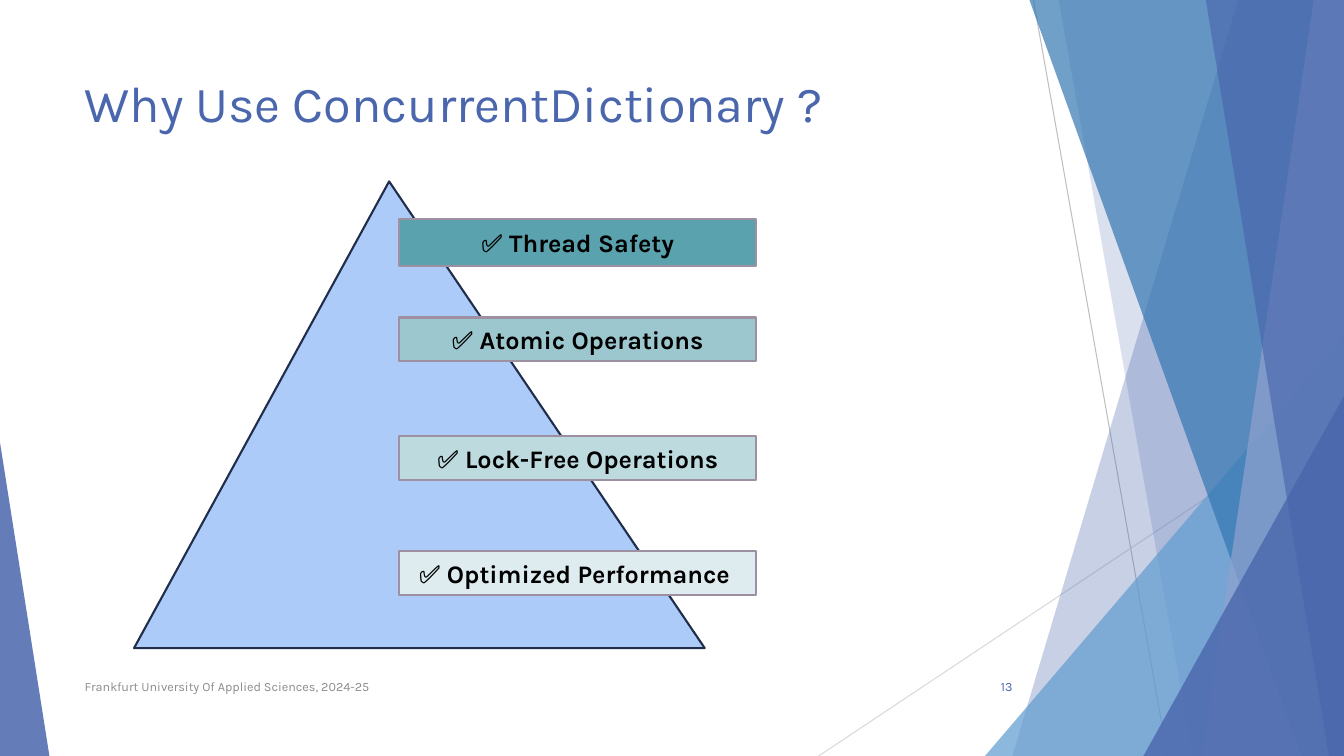
import pptx
import pptx.util
import pptx.dml.color
import pptx.enum.shapes
import pptx.enum.text
import pptx.oxml.ns
from dataclasses import dataclass
from lxml import etree

PX = 9144  # EMU per px, 100 px to the inch
MSO = pptx.enum.shapes.MSO_SHAPE
ALIGN = pptx.enum.text.PP_ALIGN
ANCHOR = pptx.enum.text.MSO_ANCHOR
qn = pptx.oxml.ns.qn


@dataclass(frozen=True)
class Theme:
    font: str = "Karla"
    title_size: int = 36
    bar_size: int = 18
    footer_size: int = 9
    accent: str = "4A66AC"
    sky: str = "629DD1"
    blue: str = "3477B2"
    mist: str = "90A2CF"
    text: str = "000000"
    muted: str = "8C8C8C"
    hairlines: tuple = ("BFBFBF", "D9D9D9")
    pyramid: str = "ACCBF9"
    pyramid_line: str = "202D4B"
    bars: tuple = ("5AA2AE", "9CC7CE", "BDDADF", "DEECEF")
    bar_line: str = "9D90A0"


THEME = Theme()


def rgb(color):
    return pptx.dml.color.RGBColor.from_string(color)


def emu(*lengths):
    return [round(length * PX) for length in lengths]


def paint(sp, fill, line=None, alpha=None):
    sp.shadow.inherit = False
    sp.fill.solid()
    sp.fill.fore_color.rgb = rgb(fill)
    if alpha is not None:
        clr = sp._element.spPr.find(qn("a:solidFill")).find(qn("a:srgbClr"))
        etree.SubElement(clr, qn("a:alpha")).set("val", str(alpha * 1000))
    if line:
        sp.line.color.rgb = rgb(line)
        sp.line.width = pptx.util.Pt(1.5)
    else:
        sp.line.fill.background()


def add_run(p, text, size, color, bold=False):
    r = p.add_run()
    r.text = text
    r.font.name = THEME.font
    r.font.size = pptx.util.Pt(size)
    r.font.bold = bold
    r.font.color.rgb = rgb(color)


def add_triangle(s, box, apex):
    sp = s.shapes.add_shape(MSO.ISOSCELES_TRIANGLE, *emu(*box))
    sp.adjustments[0] = apex
    return sp


def add_hairline(s, start, end, color):
    line = s.shapes.add_connector(
        pptx.enum.shapes.MSO_CONNECTOR.STRAIGHT, *emu(*start, *end))
    line.line.color.rgb = rgb(color)
    line.line.width = pptx.util.Pt(0.75)
    etree.SubElement(line._element.spPr, qn("a:effectLst"))


def add_backdrop(s, box):
    """Overlapping translucent facets along the right edge, one sliver at left."""
    x, y, w, h = box
    right, bottom = x + w, y + h

    def panel(top, foot, color, alpha):
        """Fill from a slanted left side to the right edge."""
        builder = s.shapes.build_freeform(x + top, y, scale=PX)
        builder.add_line_segments(
            [(right, y), (right, bottom), (x + foot, bottom)])
        paint(builder.convert_to_shape(), color, alpha=alpha)

    def corner(width, height, color, alpha, at_right=True):
        left = right - width if at_right else x
        sp = add_triangle(s, (left, bottom - height, width, height), int(at_right))
        paint(sp, color, alpha=alpha)

    steep, flat = THEME.hairlines
    add_hairline(s, (x + 1025, y), (x + 1158, bottom), steep)
    add_hairline(s, (right, y + 403), (x + 812, bottom), flat)
    panel(1228, 1004, THEME.accent, 30)
    panel(1050, 1183, THEME.accent, 20)
    corner(356, 417, THEME.sky, 72)
    panel(1021, 1291, THEME.blue, 70)
    panel(1303, 1192, THEME.mist, 70)
    panel(1196, 1318, THEME.accent, 65)
    corner(199, 357, THEME.accent, 80)
    corner(49, 311, THEME.accent, 85, at_right=False)


def add_title(s, box, text):
    sp = s.shapes.title
    sp.left, sp.top, sp.width, sp.height = emu(*box)
    tf = sp.text_frame
    tf.word_wrap = True
    tf.auto_size = pptx.enum.text.MSO_AUTO_SIZE.NONE
    tf.vertical_anchor = ANCHOR.TOP
    p = tf.paragraphs[0]
    p.alignment = ALIGN.LEFT
    add_run(p, text, THEME.title_size, THEME.accent)


def add_footer(s, box, text, number):
    x, y, w, h = box
    number_w = 75
    parts = [(x, 689, text, THEME.muted, ALIGN.LEFT),
             (x + w - number_w, number_w, number, THEME.accent, ALIGN.RIGHT)]
    for left, width, label, color, align in parts:
        tf = s.shapes.add_textbox(*emu(left, y, width, h)).text_frame
        tf.word_wrap = True
        tf.vertical_anchor = ANCHOR.MIDDLE
        p = tf.paragraphs[0]
        p.alignment = align
        add_run(p, label, THEME.footer_size, color)


def add_pyramid(s, box, bars):
    """Triangle with bars given as (label, offset from apex, height)."""
    x, y, w, h = box
    paint(add_triangle(s, box, 0.447), THEME.pyramid, THEME.pyramid_line)
    for (label, offset, height), fill in zip(bars, THEME.bars):
        sp = s.shapes.add_shape(
            MSO.RECTANGLE, *emu(x + 263, y + offset, 354, height))
        paint(sp, fill, THEME.bar_line)
        tf = sp.text_frame
        tf.word_wrap = True
        tf.vertical_anchor = ANCHOR.MIDDLE
        p = tf.paragraphs[0]
        p.alignment = ALIGN.CENTER
        add_run(p, "✅ ", THEME.bar_size, THEME.text)
        add_run(p, label, THEME.bar_size, THEME.text, bold=True)


def main():
    prs = pptx.Presentation()
    prs.slide_width, prs.slide_height = emu(1333, 750)
    s = prs.slides.add_slide(prs.slide_layouts.get_by_name("Title Only"))
    add_backdrop(s, (0, 0, 1333, 750))
    add_title(s, (74, 67, 940, 144), "Why Use ConcurrentDictionary ?")
    add_footer(s, (74, 661, 940, 40),
               "Frankfurt University Of Applied Sciences, 2024-25", "13")
    add_pyramid(s, (133, 180, 566, 463), [
        ("Thread Safety", 37, 47),
        ("Atomic Operations", 135, 43),
        ("Lock-Free Operations", 253, 43),
        ("Optimized Performance ", 367, 43),
    ])
    prs.save("out.pptx")


if __name__ == "__main__":
    main()
